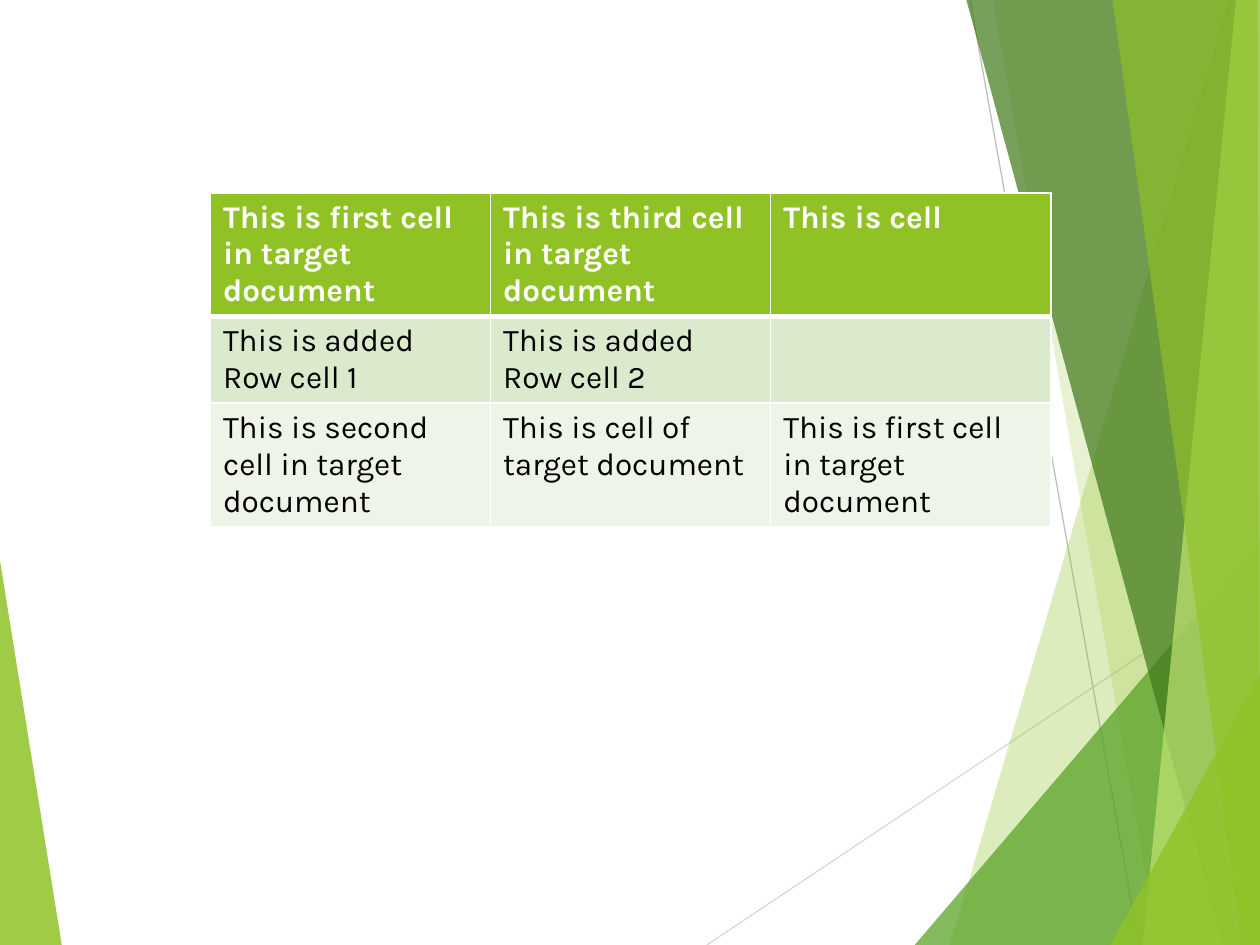
from lxml.etree import SubElement
from pptx import Presentation
from pptx.dml.color import RGBColor
from pptx.enum.shapes import MSO_CONNECTOR
from pptx.oxml.ns import qn
from pptx.util import Inches, Pt

COLORS = {
    "white": "FFFFFF", "black": "000000", "lime": "90C226",
    "green": "54A021", "dark": "3F7819", "pale": "C0E474",
    "band": "DBE9CD", "light": "EEF4E8",
    "gray": "BFBFBF", "mist": "D9D9D9",
}


class Deck:
    font = "Karla"
    size = Pt(18)

    def __init__(self, wide, high):
        self.file = Presentation()
        self.file.slide_width = Inches(wide)
        self.file.slide_height = Inches(high)
        self.slide = self.file.slides.add_slide(self.file.slide_layouts[6])

    def color(self, name):
        return RGBColor.from_string(COLORS[name])

    def facet(self, points, color, alpha):
        spots = [(Inches(x), Inches(y)) for x, y in points]
        pen = self.slide.shapes.build_freeform(*spots[0])
        pen.add_line_segments(spots[1:], close=True)
        shape = pen.convert_to_shape()
        shape.shadow.inherit = False
        shape.line.fill.background()
        shape.fill.solid()
        shape.fill.fore_color.rgb = self.color(color)
        tint = shape.fill._xPr.find(qn("a:solidFill"))[0]
        SubElement(tint, qn("a:alpha"), val=str(alpha * 1000))

    def line(self, start, end, color):
        ends = [Inches(n) for n in start + end]
        line = self.slide.shapes.add_connector(MSO_CONNECTOR.STRAIGHT, *ends)
        line.line.color.rgb = self.color(color)
        line.line.width = Pt(0.75)
        SubElement(line._element.spPr, qn("a:effectLst"))

    def border(self, cell, sides):
        props = cell._tc.get_or_add_tcPr()
        for place, (side, width) in enumerate(sides.items()):
            edge = SubElement(props, qn("a:ln" + side), w=str(Pt(width)))
            fill = SubElement(edge, qn("a:solidFill"))
            SubElement(fill, qn("a:srgbClr"), val=COLORS["white"])
            props.insert(place, edge)

    def table(self, left, top, width, row_high, rows, fills):
        frame = self.slide.shapes.add_table(
            len(rows), len(rows[0]), Inches(left), Inches(top),
            Inches(width), Inches(row_high * len(rows)))
        grid = frame.table
        for r, row in enumerate(rows):
            head = r == 0
            for c, text in enumerate(row):
                cell = grid.cell(r, c)
                cell.text = text
                cell.fill.solid()
                cell.fill.fore_color.rgb = self.color(fills[r])
                font = cell.text_frame.paragraphs[0].font
                font.name, font.size, font.bold = self.font, self.size, head
                font.color.rgb = self.color("white" if head else "black")
                self.border(cell, {"L": 1, "R": 1, "T": 3 if r == 1 else 1,
                                   "B": 3 if head else 1})


deck = Deck(10, 7.5)
deck.facet([(0, 4.45), (0.49, 7.5), (0, 7.5)], "lime", 85)
deck.line((5.61, 7.5), (10, 4.57), "mist")
deck.line((7.7, 0), (9.04, 7.5), "gray")

facets = [
    ([(9.75, 0), (7.54, 7.5), (10, 7.5), (10, 0)], "lime", 30),
    ([(7.88, 0), (9.19, 7.5), (10, 7.5), (10, 0)], "lime", 20),
    ([(7.26, 7.5), (10, 4.29), (10, 7.5)], "green", 72),
    ([(7.67, 0), (9.7, 7.5), (10, 7.5), (10, 0)], "dark", 70),
    ([(9.81, 0), (9.07, 7.5), (10, 7.5), (10, 0)], "pale", 70),
    ([(8.83, 0), (9.86, 7.5), (10, 7.5), (9.98, 0)], "lime", 65),
    ([(8.81, 7.5), (10, 5.35), (10, 7.5)], "lime", 80),
]
for points, color, alpha in facets:
    deck.facet(points, color, alpha)

rows = [
    ["This is first cell in target document",
     "This is third cell in target document", "This is cell"],
    ["This is added Row cell 1", "This is added Row cell 2", ""],
    ["This is second cell in target document",
     "This is cell of target document",
     "This is first cell in target document"],
]
deck.table(1.67, 1.53, 6.67, 0.41, rows, ["lime", "band", "light"])
deck.file.save("out.pptx")
